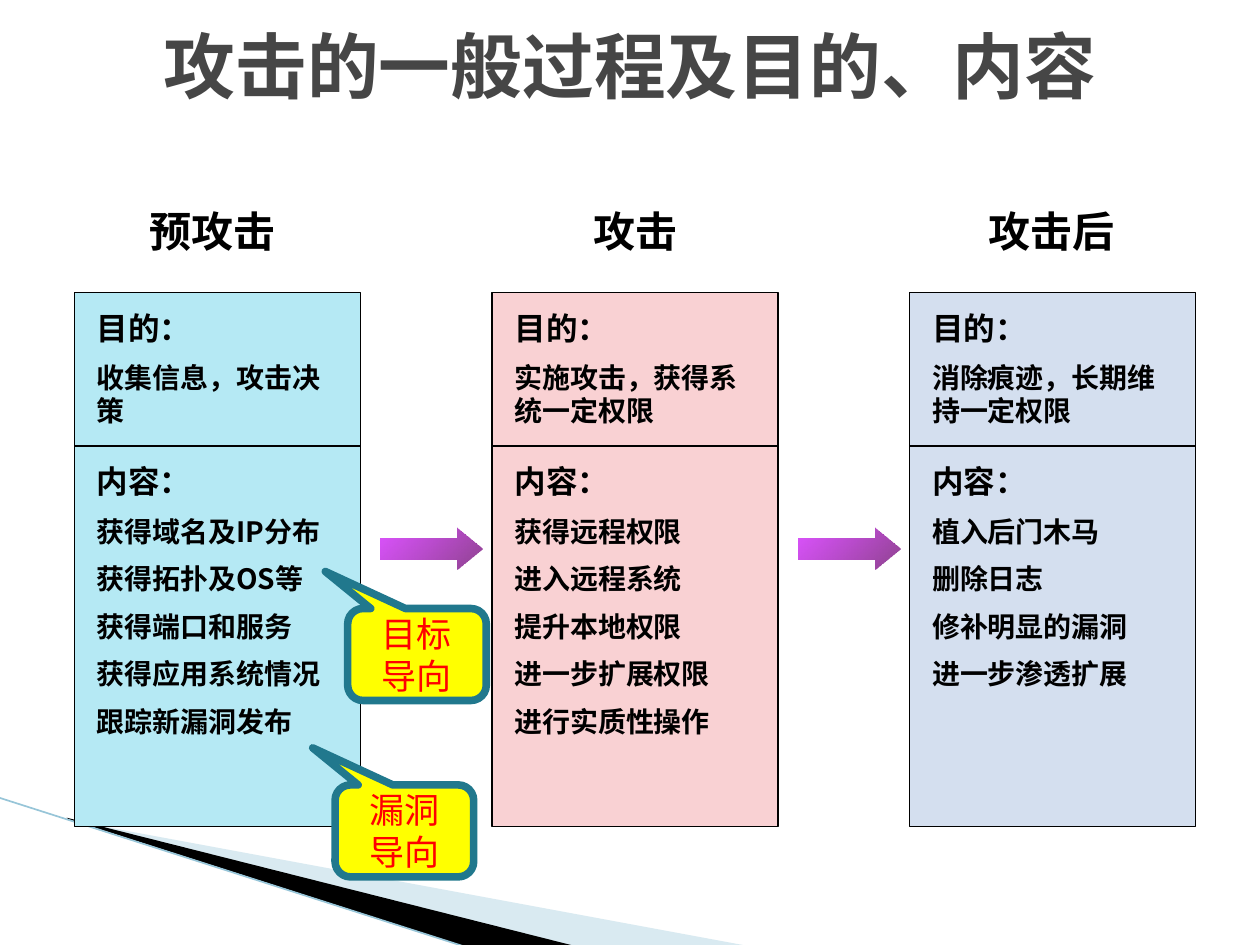
from pptx import Presentation
from pptx.util import Inches, Pt
from pptx.dml.color import RGBColor
from pptx.enum.shapes import MSO_SHAPE, MSO_CONNECTOR
from pptx.enum.text import PP_ALIGN, MSO_ANCHOR, MSO_AUTO_SIZE
from pptx.oxml.ns import qn
from lxml import etree

COLORS = {
    "black": "000000", "title": "464646", "wedge": "A0CBDC", "rule": "97C5D8",
    "cyan": "B5E9F4", "pink": "F9D1D3", "blue": "D4DFEF",
    "arrow_start": "CC00FF", "arrow_end": "660066",
    "yellow": "FFFF00", "teal": "21788D", "red": "FF0000",
}
RGB = {name: RGBColor.from_string(value) for name, value in COLORS.items()}
SERIF, SANS, MONO = "Times New Roman", "Noto Sans CJK SC", "Noto Sans Mono"


def write(box, lines, color="black", bold=True, align=PP_ALIGN.LEFT,
          anchor=MSO_ANCHOR.TOP, grow=True):
    """Fill a box with (text, size, font) lines."""
    frame = box.text_frame
    frame.text = "\n".join(text for text, size, font in lines)
    frame.word_wrap = True
    frame.vertical_anchor = anchor
    frame.auto_size = MSO_AUTO_SIZE.SHAPE_TO_FIT_TEXT if grow else MSO_AUTO_SIZE.NONE
    for index, (para, (text, size, font)) in enumerate(zip(frame.paragraphs, lines)):
        para.alignment = align
        para.space_before = Pt(8 if index else 0)
        for span in para.runs:
            span.font.size = Pt(size)
            span.font.name = font
            span.font.bold = bold
            span.font.color.rgb = RGB[color]


def set_alpha(shape, percents):
    """Give each colour of a shape's fill its opacity."""
    fill_colors = shape.fill._xPr.iter(qn("a:srgbClr"))
    for color, percent in zip(fill_colors, percents):
        etree.SubElement(color, qn("a:alpha")).set("val", str(percent * 1000))


deck = Presentation()
deck.slide_width, deck.slide_height = Inches(10), Inches(7.5)
page = deck.slides.add_slide(deck.slide_layouts[6])

# Corner decoration
wedges = [
    ("wedge", 40, [(0.55, 6.51), (5.95, 7.51), (4.56, 7.51), (0.55, 6.5)]),
    ("black", 100, [(0.53, 6.49), (4.57, 7.51), (3.72, 7.52), (0.54, 6.5)]),
]
for color, opacity, points in wedges:
    corners = [(Inches(x), Inches(y)) for x, y in points]
    builder = page.shapes.build_freeform(*corners[0])
    builder.add_line_segments(corners[1:], close=True)
    wedge = builder.convert_to_shape()
    wedge.shadow.inherit = False
    wedge.fill.solid()
    wedge.fill.fore_color.rgb = RGB[color]
    wedge.line.fill.background()
    if opacity < 100:
        set_alpha(wedge, [opacity])

rule = page.shapes.add_connector(
    MSO_CONNECTOR.STRAIGHT, Inches(-0.01), Inches(6.33), Inches(3.71), Inches(7.52))
rule.line.color.rgb = RGB["rule"]
rule.line.width = Pt(0.95)
etree.SubElement(rule._element.spPr, qn("a:effectLst"))

# Title
title = page.shapes.add_textbox(Inches(0.2), Inches(0.05), Inches(9.61), Inches(0.93))
write(title, [("攻击的一般过程及目的、内容", 41, MONO)], "title",
      align=PP_ALIGN.CENTER, anchor=MSO_ANCHOR.MIDDLE, grow=False)

# Stages: heading, heading left and width, colour, goal, goal font, content,
# and whether the goal and content text boxes are filled
stages = [
    ("预攻击", 0.55, 2.27, "cyan", "收集信息，攻击决策", SERIF,
     ["获得域名及IP分布", "获得拓扑及OS等", "获得端口和服务", "获得应用系统情况",
      "跟踪新漏洞发布"], False, True),
    ("攻击", 4.23, 1.62, "pink", "实施攻击，获得系统一定权限", SANS,
     ["获得远程权限", "进入远程系统", "提升本地权限", "进一步扩展权限",
      "进行实质性操作"], True, True),
    ("攻击后", 7.16, 2.37, "blue", "消除痕迹，长期维持一定权限", SANS,
     ["植入后门木马", "删除日志", "修补明显的漏洞", "进一步渗透扩展"], False, False),
]
first_left, step = 0.59, 3.315
for number, stage in enumerate(stages):
    (heading, heading_left, heading_width, color,
     goal, goal_font, content, goal_filled, content_filled) = stage
    left = first_left + number * step
    group = page.shapes.add_group_shape()

    heading_box = group.shapes.add_textbox(
        Inches(heading_left), Inches(1.58), Inches(heading_width), Inches(0.5))
    write(heading_box, [(heading, 24, SERIF)], align=PP_ALIGN.CENTER)

    content_lines = [("内容：", 18, SERIF)] + [(item, 16, SANS) for item in content]
    content_height = 0.41 + 0.4 * len(content)
    panels = [
        (2.32, 1.22, 1.07, [("目的：", 18, SERIF), (goal, 16, goal_font)], goal_filled),
        (3.54, 3.02, content_height, content_lines, content_filled),
    ]
    for top, height, text_height, lines, filled in panels:
        panel = group.shapes.add_shape(
            MSO_SHAPE.RECTANGLE, Inches(left), Inches(top), Inches(2.27), Inches(height))
        panel.shadow.inherit = False
        panel.fill.solid()
        panel.fill.fore_color.rgb = RGB[color]
        panel.line.color.rgb = RGB["black"]
        panel.line.width = Pt(0.75)

        text_box = group.shapes.add_textbox(
            Inches(left + 0.08), Inches(top + 0.08), Inches(2.18), Inches(text_height))
        if filled:
            text_box.fill.solid()
            text_box.fill.fore_color.rgb = RGB[color]
        write(text_box, lines)

# Arrows between the stages
for number in range(len(stages) - 1):
    arrow = page.shapes.add_shape(
        MSO_SHAPE.RIGHT_ARROW, Inches(3.02 + number * step), Inches(4.19),
        Inches(0.81), Inches(0.33))
    arrow.adjustments[1] = 0.62
    arrow.shadow.inherit = False
    arrow.line.fill.background()
    arrow.fill.gradient()
    arrow.fill.gradient_angle = 315
    for stop, position, color in zip(
            arrow.fill.gradient_stops, (0, 1), ("arrow_start", "arrow_end")):
        stop.position = position
        stop.color.rgb = RGB[color]
    set_alpha(arrow, [68, 74])

# Callouts
for text, left, top in [("目标导向", 2.76, 4.83), ("漏洞导向", 2.66, 6.23)]:
    callout = page.shapes.add_shape(
        MSO_SHAPE.ROUNDED_RECTANGULAR_CALLOUT, Inches(left), Inches(top),
        Inches(1.1), Inches(0.73))
    for index, value in enumerate((-0.662, -0.903, 0.167)):
        callout.adjustments[index] = value
    callout.shadow.inherit = False
    callout.fill.solid()
    callout.fill.fore_color.rgb = RGB["yellow"]
    callout.line.color.rgb = RGB["teal"]
    callout.line.width = Pt(4.33)
    write(callout, [(text, 20, MONO)], "red", bold=False,
          align=PP_ALIGN.CENTER, anchor=MSO_ANCHOR.MIDDLE, grow=False)

deck.save("out.pptx")
